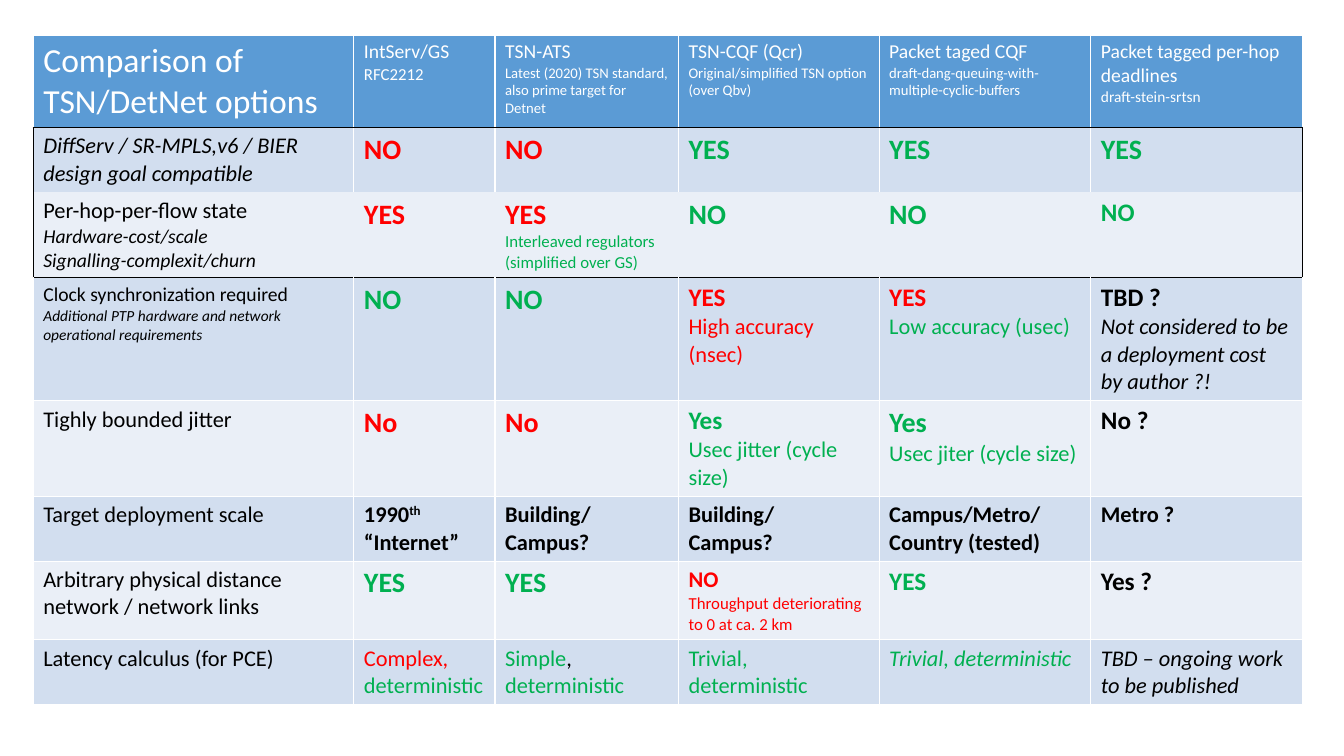
from dataclasses import dataclass

from lxml import etree
from pptx import Presentation
from pptx.dml.color import RGBColor
from pptx.oxml.ns import qn
from pptx.util import Inches, Pt


@dataclass(frozen=True)
class Theme:
    """Colours, font and type sizes of the slide."""
    font: str = "Calibri"
    white: str = "FFFFFF"
    black: str = "000000"
    red: str = "FF0000"
    green: str = "00B050"
    header: str = "5B9BD5"
    bands: tuple = ("D2DEEF", "EAEFF7")
    title: float = 24
    verdict: float = 20
    answer: float = 18
    body: float = 16
    label: float = 14
    detail: float = 12
    small: float = 11
    tiny: float = 10.5


THEME = Theme()
COLUMN_WIDTHS = (3.18, 1.4, 1.82, 1.99, 2.1, 2.1)
ROW_HEIGHTS = (0.9, 0.64, 0.84, 1.22, 0.94, 0.64, 0.78, 0.64)
BOX_ROWS = (1, 2)
BORDER_TAGS = {"left": "a:lnL", "right": "a:lnR", "top": "a:lnT", "bottom": "a:lnB"}


def run(text, size=THEME.body, color=THEME.black, bold=False, italic=False, raised=False):
    """Describe one run of text; a newline stands for a line break."""
    font = {"name": THEME.font, "size": Pt(size), "bold": bold, "italic": italic}
    return text, font, color, raised


def verdict(text, color, size=THEME.verdict):
    """Describe a bold verdict."""
    return run(text, size, color, bold=True)


def heading(name, note, note_size=THEME.tiny):
    """Describe a column heading with a smaller note below."""
    return [[run(name, THEME.label, THEME.white)], [run(note, note_size, THEME.white)]]


def plain(text, **style):
    """Describe a cell of one body-sized paragraph."""
    return [[run(text, **style)]]


def verdicts(*answers):
    """Describe neighbouring cells that hold only a verdict."""
    return [[[verdict(*answer)]] for answer in answers]


def comparison_rows():
    """Return the cells, each a list of paragraphs made of runs."""
    red, green, black = THEME.red, THEME.green, THEME.black
    answer, detail = THEME.answer, THEME.detail
    return [
        [[[run("Comparison of TSN/DetNet options", THEME.title, THEME.white)]],
         heading("IntServ/GS", "RFC2212", detail),
         heading("TSN-ATS", "Latest (2020) TSN standard, also prime target for Detnet"),
         heading("TSN-CQF (Qcr)", "Original/simplified TSN option (over Qbv)"),
         heading("Packet taged CQF", "draft-dang-queuing-with-multiple-cyclic-buffers"),
         heading("Packet tagged per-hop deadlines", "draft-stein-srtsn", THEME.small)],
        [plain("DiffServ / SR-MPLS,v6 / BIER \ndesign goal compatible", italic=True),
         *verdicts(("NO", red), ("NO", red), ("YES", green), ("YES", green), ("YES", green))],
        [[[run("Per-hop-per-flow state")],
          [run("Hardware-cost/scale", THEME.label, italic=True)],
          [run("Signalling-complexit/churn", THEME.label, italic=True)]],
         [[verdict("YES", red)]],
         [[verdict("YES", red)],
          [run("Interleaved regulators (simplified over GS)", detail, green)]],
         *verdicts(("NO", green), ("NO", green), ("NO", green, answer))],
        [[[run("Clock synchronization required", THEME.label)],
          [run("Additional PTP hardware and network operational requirements",
               THEME.small, italic=True)]],
         *verdicts(("NO", green), ("NO", green)),
         [[verdict("YES", red, answer)],
          [run("High accuracy ", color=red)], [run("(nsec)", color=red)]],
         [[verdict("YES", red, answer)], [run("Low accuracy (usec)", color=green)]],
         [[verdict("TBD ? \n", black, answer),
           run("Not considered to be a deployment cost by author ?!", italic=True)]]],
        [plain("Tighly bounded jitter"),
         *verdicts(("No", red), ("No", red)),
         [[verdict("Yes", green, answer)], [run("Usec jitter (cycle size)", color=green)]],
         [[verdict("Yes", green)], [run("Usec jiter (cycle size)", color=green)]],
         [[verdict("No ?", black, answer)]]],
        [plain("Target deployment scale"),
         [[run("1990", bold=True), run("th\n", bold=True, raised=True),
           run("“Internet”", bold=True)]],
         plain("Building/\nCampus?", bold=True),
         plain("Building/\nCampus?", bold=True),
         [[run("Campus/Metro/", bold=True)], [run("Country (tested)", bold=True)]],
         plain("Metro ?", bold=True)],
        [plain("Arbitrary physical distance network / network links"),
         *verdicts(("YES", green), ("YES", green)),
         [[verdict("NO", red, THEME.body)],
          [run("Throughput deteriorating to 0 at ca. 2 km", detail, red)]],
         *verdicts(("YES", green, answer), ("Yes ? ", black, answer))],
        [plain("Latency calculus (for PCE)"),
         [[run("Complex, ", color=red), run("deterministic", color=green)]],
         [[run("Simple", color=green), run(", "), run("deterministic", color=green)]],
         plain("Trivial, deterministic", color=green),
         plain("Trivial, deterministic", color=green, italic=True),
         plain("TBD – ongoing work to be published", italic=True)],
    ]


def add_run(paragraph, content):
    """Append a described run, turning newlines into line breaks."""
    text, font, color, raised = content
    for index, line in enumerate(text.split("\n")):
        if index:
            paragraph.add_line_break()
        if not line:
            continue
        text_run = paragraph.add_run()
        text_run.text = line
        for name, value in font.items():
            setattr(text_run.font, name, value)
        text_run.font.color.rgb = RGBColor.from_string(color)
        if raised:
            text_run.font._element.set("baseline", "30000")


def fill_text(cell, paragraphs):
    """Write the described paragraphs into a cell."""
    frame = cell.text_frame
    for index, runs in enumerate(paragraphs):
        paragraph = frame.add_paragraph() if index else frame.paragraphs[0]
        for content in runs:
            add_run(paragraph, content)


def border_colors(row, column):
    """Return side colours: a black box round BOX_ROWS, white elsewhere."""
    first, last = BOX_ROWS
    colors = dict.fromkeys(BORDER_TAGS, THEME.white)
    if row in BOX_ROWS:
        if row == last:
            colors.update(left=None, right=None)
        colors["top"] = THEME.black if row == first else None
        colors["bottom"] = THEME.black if row == last else None
        if column == 0:
            colors["left"] = THEME.black
        if column == len(COLUMN_WIDTHS) - 1:
            colors["right"] = THEME.black
    elif row == first - 1:
        colors["bottom"] = THEME.black
    elif row == last + 1:
        colors["top"] = THEME.black
    return colors


def set_borders(cell, colors):
    """Draw one-point borders, or none where the colour is None."""
    properties = cell._tc.get_or_add_tcPr()
    for side, tag in BORDER_TAGS.items():
        line = etree.SubElement(properties, qn(tag), w=str(Pt(1)))
        if colors[side] is None:
            etree.SubElement(line, qn("a:noFill"))
        else:
            solid = etree.SubElement(line, qn("a:solidFill"))
            etree.SubElement(solid, qn("a:srgbClr"), val=colors[side])


def add_comparison_table(slide):
    """Add the table of options and criteria."""
    rows = comparison_rows()
    table = slide.shapes.add_table(
        len(rows), len(COLUMN_WIDTHS), Inches(0.33), Inches(0.35),
        Inches(sum(COLUMN_WIDTHS)), Inches(sum(ROW_HEIGHTS))).table
    for column, width in zip(table.columns, COLUMN_WIDTHS):
        column.width = Inches(width)
    for row, height in zip(table.rows, ROW_HEIGHTS):
        row.height = Inches(height)
    for row_index, row in enumerate(rows):
        color = THEME.bands[(row_index - 1) % 2] if row_index else THEME.header
        for column_index, paragraphs in enumerate(row):
            cell = table.cell(row_index, column_index)
            fill_text(cell, paragraphs)
            set_borders(cell, border_colors(row_index, column_index))
            cell.fill.solid()
            cell.fill.fore_color.rgb = RGBColor.from_string(color)


def main():
    """Build and save the slide."""
    presentation = Presentation()
    presentation.slide_width = Inches(13.33)
    presentation.slide_height = Inches(7.5)
    slide = presentation.slides.add_slide(presentation.slide_layouts[6])
    add_comparison_table(slide)
    presentation.save("out.pptx")


main()
